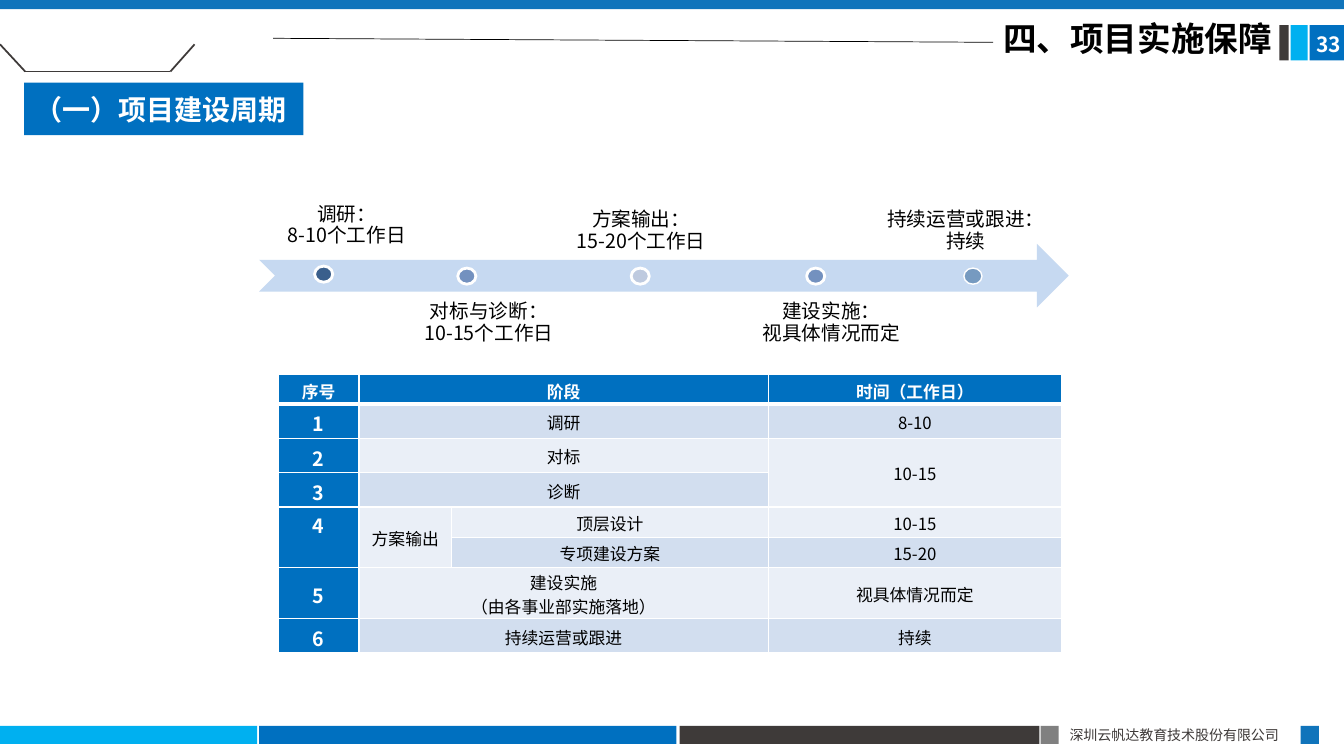
from typing import NamedTuple

from lxml.etree import SubElement
from pptx import Presentation
from pptx.dml.color import RGBColor
from pptx.enum.shapes import MSO_CONNECTOR, MSO_SHAPE
from pptx.enum.text import MSO_ANCHOR, PP_ALIGN
from pptx.oxml.ns import qn
from pptx.util import Pt

PX = 9144  # 100 px to the inch
CJK = "Noto Sans CJK SC"
BLACK = RGBColor(0x00, 0x00, 0x00)
WHITE = RGBColor(0xFF, 0xFF, 0xFF)
BLUE = RGBColor(0x00, 0x70, 0xC0)
EDGE_BLUE = RGBColor(0x10, 0x74, 0xBB)
CYAN = RGBColor(0x00, 0xB0, 0xF0)
DARK = RGBColor(0x3E, 0x3A, 0x39)
GREY = RGBColor(0x80, 0x80, 0x80)
ARROW_BLUE = RGBColor(0xC6, 0xD9, 0xF1)
BAND_DARK = RGBColor(0xD2, 0xDE, 0xEF)
BAND_LIGHT = RGBColor(0xEA, 0xEF, 0xF7)
DOT_MID = RGBColor(0x73, 0x91, 0xBF)


class Box(NamedTuple):
    x: int
    y: int
    w: int
    h: int

    def emu(self) -> list[int]:
        return [v * PX for v in self]


class Style(NamedTuple):
    size: int
    color: RGBColor = BLACK
    bold: bool = False
    align: PP_ALIGN = PP_ALIGN.LEFT
    font: str = CJK


class Bar(NamedTuple):
    box: Box
    color: RGBColor


class Line(NamedTuple):
    x1: int
    y1: int
    x2: int
    y2: int
    color: RGBColor
    width: float


class Stage(NamedTuple):
    text: str
    label: Box
    above: bool
    dot_x: int
    dot_y: int
    color: RGBColor
    ring: int = 2


class Entry(NamedTuple):
    row: int
    col: int
    text: str
    rows: int = 1
    cols: int = 1


BARS = [
    Bar(Box(0, 720, 255, 18), CYAN),
    Bar(Box(257, 720, 414, 18), BLUE),
    Bar(Box(674, 720, 357, 18), DARK),
    Bar(Box(1032, 720, 18, 18), GREY),
    Bar(Box(1290, 720, 18, 18), EDGE_BLUE),
    Bar(Box(1299, 25, 34, 35), BLUE),
    Bar(Box(1280, 25, 17, 35), CYAN),
    Bar(Box(1269, 25, 9, 35), DARK),
    Bar(Box(0, 0, 1333, 9), EDGE_BLUE),
]
TRAY = [
    Line(25, 71, 169, 71, DARK, 1.25),
    Line(169, 71, 193, 44, DARK, 1.25),
    Line(25, 71, 0, 44, DARK, 1.25),
]
STAGES = [
    Stage("调研：\n8-10个工作日", Box(257, 197, 174, 56), True, 312, 264,
          RGBColor(0x3A, 0x5F, 0x8C)),
    Stage("对标与诊断：\n10-15个工作日", Box(398, 297, 174, 63), False, 454, 266, DOT_MID),
    Stage("方案输出：\n15-20个工作日", Box(551, 195, 170, 63), True, 626, 266,
          RGBColor(0xBE, 0xCA, 0xDF)),
    Stage("建设实施：\n视具体情况而定", Box(727, 297, 195, 63), False, 800, 266, DOT_MID),
    Stage("持续运营或跟进：\n持续", Box(871, 195, 174, 63), True, 956, 266,
          RGBColor(0x76, 0x9A, 0xC0), 1),
]
COLUMNS = [80, 92, 314, 291]
ROWS = [30, 34, 34, 34, 30, 30, 51, 34]
ENTRIES = [
    Entry(0, 0, "序号"), Entry(0, 1, "阶段", cols=2), Entry(0, 3, "时间（工作日）"),
    Entry(1, 0, "1"), Entry(1, 1, "调研", cols=2), Entry(1, 3, "8-10"),
    Entry(2, 0, "2"), Entry(2, 1, "对标", cols=2), Entry(2, 3, "10-15", rows=2),
    Entry(3, 0, "3"), Entry(3, 1, "诊断", cols=2),
    Entry(4, 0, "4", rows=2), Entry(4, 1, "方案输出", rows=2),
    Entry(4, 2, "顶层设计"), Entry(4, 3, "10-15"),
    Entry(5, 2, "专项建设方案"), Entry(5, 3, "15-20"),
    Entry(6, 0, "5"), Entry(6, 1, "建设实施\n（由各事业部实施落地）", cols=2),
    Entry(6, 3, "视具体情况而定"),
    Entry(7, 0, "6"), Entry(7, 1, "持续运营或跟进", cols=2), Entry(7, 3, "持续"),
]


def write(tf, text: str, style: Style) -> None:
    tf.text = text
    for p in tf.paragraphs:
        p.alignment = style.align
        f = p.font
        f.size, f.bold, f.name = Pt(style.size), style.bold, style.font
        f.color.rgb = style.color
        SubElement(p._p.pPr.find(qn("a:defRPr")), qn("a:ea"), typeface=CJK)


def set_margins(tf, left: int, top: int, right: int, bottom: int) -> None:
    tf.margin_left, tf.margin_top = left * PX, top * PX
    tf.margin_right, tf.margin_bottom = right * PX, bottom * PX


def add_text(shapes, box: Box, text: str, style: Style):
    sp = shapes.add_textbox(*box.emu())
    sp.text_frame.word_wrap = True
    set_margins(sp.text_frame, 10, 5, 10, 5)
    write(sp.text_frame, text, style)
    return sp


def add_shape(shapes, kind: MSO_SHAPE, box: Box, fill: RGBColor, ring: int = 0):
    """Add a filled shape, with a white outline of ring points if any."""
    sp = shapes.add_shape(kind, *box.emu())
    sp.shadow.inherit = False
    sp.fill.solid()
    sp.fill.fore_color.rgb = fill
    if ring:
        sp.line.color.rgb = WHITE
        sp.line.width = Pt(ring)
    else:
        sp.line.fill.background()
    return sp


def add_line(shapes, line: Line):
    c = shapes.add_connector(MSO_CONNECTOR.STRAIGHT, *[v * PX for v in line[:4]])
    c.line.color.rgb = line.color
    c.line.width = Pt(line.width)
    SubElement(c._element.spPr, qn("a:effectLst"))
    return c


def add_stage(shapes, stage: Stage) -> None:
    tf = add_text(shapes, stage.label, stage.text, Style(14, align=PP_ALIGN.CENTER)).text_frame
    set_margins(tf, 8, 8, 8, 8)
    tf.vertical_anchor = MSO_ANCHOR.BOTTOM if stage.above else MSO_ANCHOR.TOP
    for p in tf.paragraphs:
        p.line_spacing, p.space_after = Pt(10.8), Pt(4.9)
    add_shape(shapes, MSO_SHAPE.OVAL, Box(stage.dot_x, stage.dot_y, 18, 16),
              stage.color, stage.ring)


def format_cell(cell, row: int, col: int) -> None:
    """Set white borders first, then the fill, as the schema orders them."""
    tcPr = cell._tc.get_or_add_tcPr()
    heavy = {"lnB": 0, "lnT": 1}
    for side in ("lnL", "lnR", "lnT", "lnB"):
        width = Pt(3) if heavy.get(side) == row else Pt(1)
        fill = SubElement(SubElement(tcPr, qn(f"a:{side}"), w=str(width)), qn("a:solidFill"))
        SubElement(fill, qn("a:srgbClr"), val=str(WHITE))
    cell.fill.solid()
    band = BAND_DARK if row % 2 else BAND_LIGHT
    cell.fill.fore_color.rgb = BLUE if row == 0 or col == 0 else band
    set_margins(cell, 10, 4 if row == 0 or col == 0 else 2, 10, 0)
    cell.vertical_anchor = MSO_ANCHOR.MIDDLE


def add_schedule(shapes) -> None:
    box = Box(276, 371, sum(COLUMNS), sum(ROWS))
    table = shapes.add_table(len(ROWS), len(COLUMNS), *box.emu()).table
    table.first_row = table.horz_banding = False
    for column, width in zip(table.columns, COLUMNS):
        column.width = width * PX
    for row, height in zip(table.rows, ROWS):
        row.height = height * PX
    for r in range(len(ROWS)):
        for c in range(len(COLUMNS)):
            format_cell(table.cell(r, c), r, c)
            write(table.cell(r, c).text_frame, "", Style(12))
    for e in ENTRIES:
        cell = table.cell(e.row, e.col)
        if e.rows > 1 or e.cols > 1:
            cell.merge(table.cell(e.row + e.rows - 1, e.col + e.cols - 1))
        head = e.row == 0 or e.col == 0
        size = 14 if e.col == 0 and e.row else 12
        write(cell.text_frame, e.text,
              Style(size, WHITE if head else BLACK, head, PP_ALIGN.CENTER))
        if e.col == 0 and e.rows > 1:
            cell.vertical_anchor = MSO_ANCHOR.TOP


def main() -> None:
    prs = Presentation()
    prs.slide_width, prs.slide_height = 1333 * PX, 750 * PX
    shapes = prs.slides.add_slide(prs.slide_layouts[6]).shapes

    for bar in BARS:
        add_shape(shapes, MSO_SHAPE.RECTANGLE, bar.box, bar.color)
    for line in TRAY:
        add_line(shapes, line)
    add_text(shapes, Box(1051, 716, 240, 27), "深圳云帆达教育技术股份有限公司",
             Style(10, DARK, align=PP_ALIGN.JUSTIFY))
    number = add_text(shapes, Box(1296, 26, 37, 35), "33", Style(15, WHITE, True))
    number.text_frame.margin_right = 0

    title = add_text(shapes, Box(985, 17, 306, 50), "四、项目实施保障", Style(24, bold=True))
    title.text_frame.paragraphs[0].line_spacing = 0.9
    rule = add_line(shapes, Line(271, 38, 985, 42, BLACK, 0.5))
    rule.end_connect(title, 1)

    section = add_shape(shapes, MSO_SHAPE.RECTANGLE, Box(24, 82, 277, 52), BLUE)
    set_margins(section.text_frame, 10, 5, 10, 5)
    section.text_frame.vertical_anchor = MSO_ANCHOR.MIDDLE
    write(section.text_frame, "（一）项目建设周期", Style(20, WHITE, True, font="Calibri"))

    add_schedule(shapes)
    add_shape(shapes, MSO_SHAPE.NOTCHED_RIGHT_ARROW, Box(257, 242, 803, 63), ARROW_BLUE)
    for stage in STAGES:
        add_stage(shapes, stage)
    prs.save("out.pptx")


if __name__ == "__main__":
    main()
